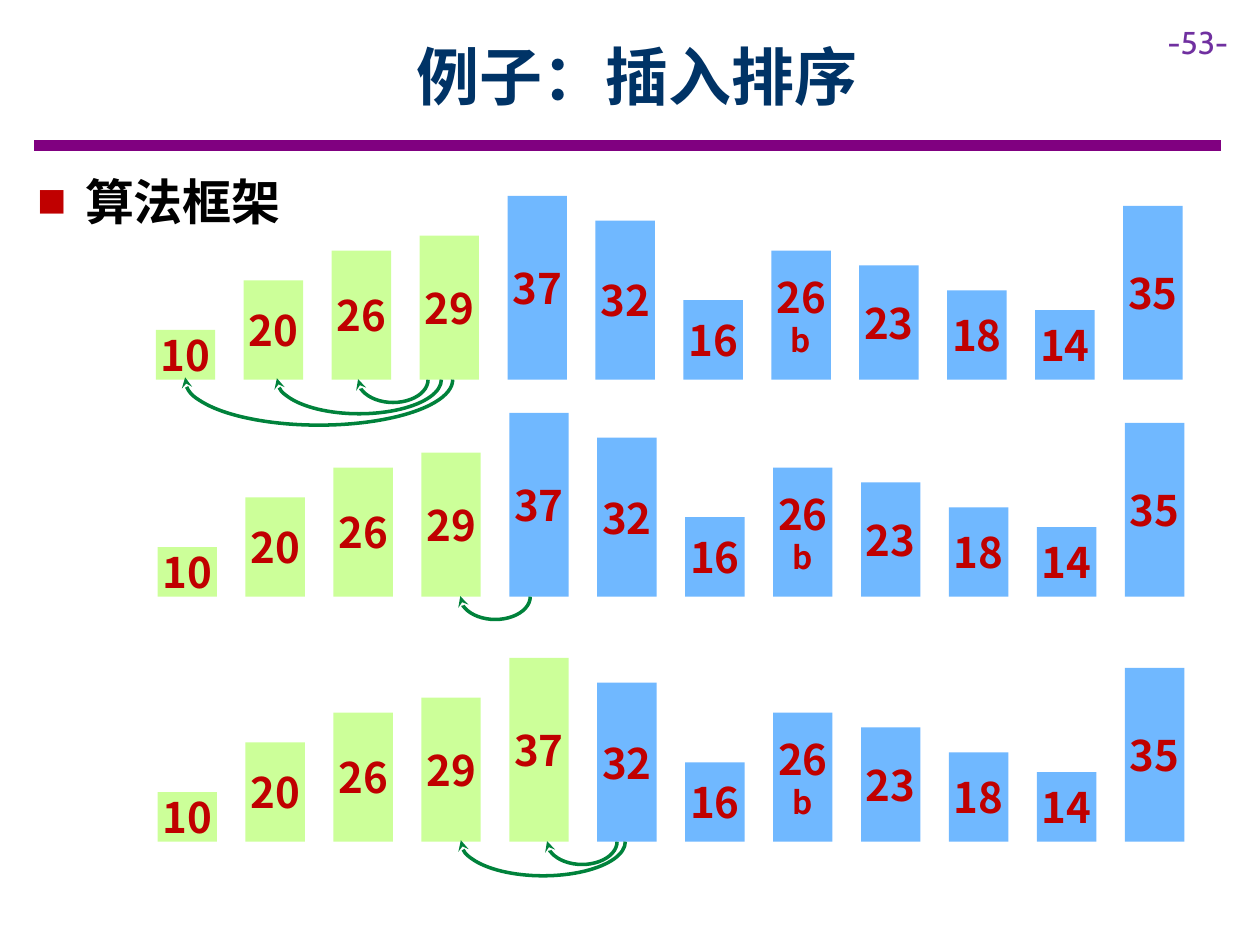
from lxml import etree
from pptx import Presentation
from pptx.dml.color import RGBColor
from pptx.enum import shapes, text
from pptx.oxml import ns
from pptx.util import Pt

NAVY = RGBColor(0x00, 0x33, 0x66)
BLACK = RGBColor(0x00, 0x00, 0x00)
RED = RGBColor(0xC0, 0x00, 0x00)
PURPLE = RGBColor(0x80, 0x00, 0x80)
VIOLET = RGBColor(0x70, 0x30, 0xA0)
LIME = RGBColor(0xCC, 0xFF, 0x99)
BLUE = RGBColor(0x70, 0xB8, 0xFF)
GREEN = RGBColor(0x00, 0x82, 0x3B)
SANS = "Noto Sans CJK SC"
VALUES = ["10", "20", "26", "29", "37", "32", "16", "26\nb", "23", "18", "14", "35"]
UNIT, WIDTH, PITCH = 2.84, 34, 50.25
SHORT, MID, LONG = (26, 40), (39, 94), (52, 153)
ROWS = [
    (89, 217, 4, [(224.6, SHORT), (205.2, MID), (182.2, LONG)]),
    (90, 341, 4, [(283, SHORT)]),
    (90, 481, 5, [(332.6, SHORT), (310.3, MID)]),
]


def add_tag(parent, tag, **attrs):
    return etree.SubElement(parent, ns.qn(tag), attrs)


def style(par, size, color, bold=True, face=SANS):
    for run in par.runs:
        font = run.font
        font.size, font.bold, font.name = Pt(size), bold, face
        font.color.rgb = color
        add_tag(font._element, "a:ea", typeface=face)


def add_title(slide, words):
    title = slide.shapes.title
    title.left, title.top, title.width, title.height = Pt(65), Pt(7), Pt(598), Pt(72)
    frame = title.text_frame
    frame.text = words
    frame.vertical_anchor = text.MSO_ANCHOR.MIDDLE
    par = frame.paragraphs[0]
    par.alignment = text.PP_ALIGN.CENTER
    style(par, 36, NAVY)


def add_text(slide, words, left, top, width, height):
    box = slide.shapes.add_textbox(Pt(left), Pt(top), Pt(width), Pt(height))
    box.text_frame.word_wrap = True
    box.text_frame.text = words
    return box.text_frame.paragraphs[0]


def add_bullet(par):
    props = par._p.get_or_add_pPr()
    props.set("marL", str(Pt(27)))
    props.set("indent", str(Pt(-27)))
    color = add_tag(props, "a:buClr")
    add_tag(color, "a:srgbClr", val=str(RED))
    add_tag(props, "a:buSzPct", val="60000")
    add_tag(props, "a:buFont", typeface=SANS)
    add_tag(props, "a:buChar", char="■")
    par.space_after = Pt(6)


def add_rule(slide):
    rule = slide.shapes.add_connector(
        shapes.MSO_CONNECTOR.STRAIGHT, Pt(19.5), Pt(83), Pt(697.5), Pt(83))
    rule.line.color.rgb = PURPLE
    rule.line.width = Pt(6)
    add_tag(rule._element.spPr, "a:effectLst")


def add_bar(slide, label, left, base, fill):
    high = int(label.split()[0]) * UNIT
    bar = slide.shapes.add_shape(
        shapes.MSO_SHAPE.RECTANGLE, Pt(left), Pt(base - high), Pt(WIDTH), Pt(high))
    bar.shadow.inherit = False
    bar.fill.solid()
    bar.fill.fore_color.rgb = fill
    bar.line.fill.background()
    frame = bar.text_frame
    frame.margin_left = frame.margin_right = 0
    frame.margin_top = frame.margin_bottom = Pt(7.2)
    frame.vertical_anchor = text.MSO_ANCHOR.MIDDLE
    frame.text = label
    for par, size in zip(frame.paragraphs, (24, 18)):
        par.alignment = text.PP_ALIGN.CENTER
        style(par, size, RED)


def add_arc(slide, mid, base, depth, span):
    arc = slide.shapes.add_shape(
        shapes.MSO_SHAPE.ARC, Pt(mid - depth / 2), Pt(base - span / 2), Pt(depth), Pt(span))
    arc.rotation = 90
    arc.adjustments[0] = 162
    arc.adjustments[1] = 54.6
    arc.shadow.inherit = False
    arc.fill.background()
    arc.line.color.rgb = GREEN
    arc.line.width = Pt(2)
    add_tag(arc.line._get_or_add_ln(), "a:tailEnd", type="stealth")


def add_row(slide, left, base, done, arcs):
    for i, label in enumerate(VALUES):
        add_bar(slide, label, left + i * PITCH, base, LIME if i < done else BLUE)
    for mid, size in arcs:
        add_arc(slide, mid, base, *size)


def main():
    deck = Presentation()
    deck.slide_width, deck.slide_height = Pt(720), Pt(540)
    slide = deck.slides.add_slide(deck.slide_layouts[5])
    add_rule(slide)
    style(add_text(slide, "-53-", 660, 9.5, 60, 29), 18, VIOLET, False, "Cabin")
    head = add_text(slide, "算法框架", 14.5, 94.5, 680, 41)
    add_bullet(head)
    style(head, 28, BLACK)
    add_title(slide, "例子：插入排序")
    for row in ROWS:
        add_row(slide, *row)
    deck.save("out.pptx")


if __name__ == "__main__":
    main()
